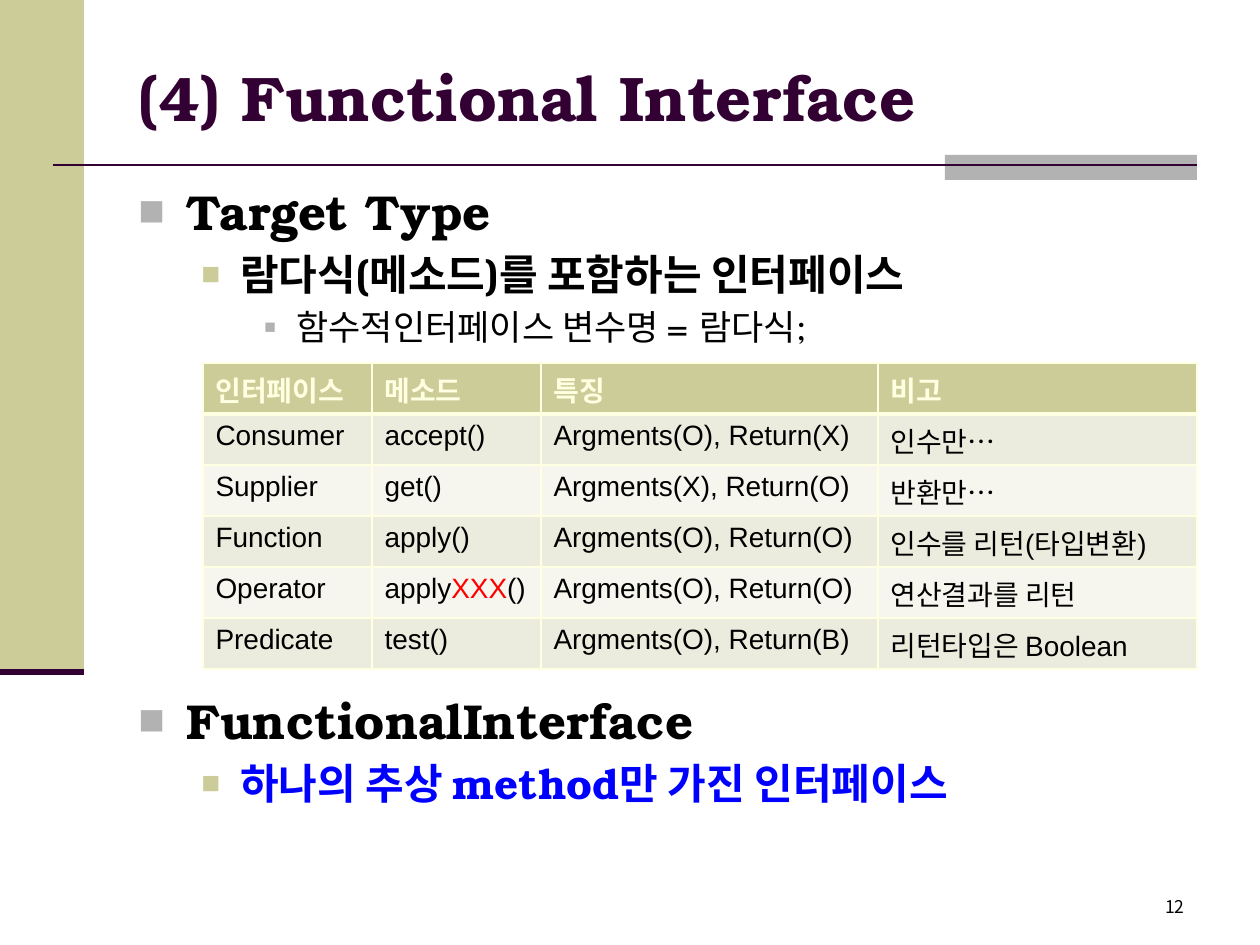
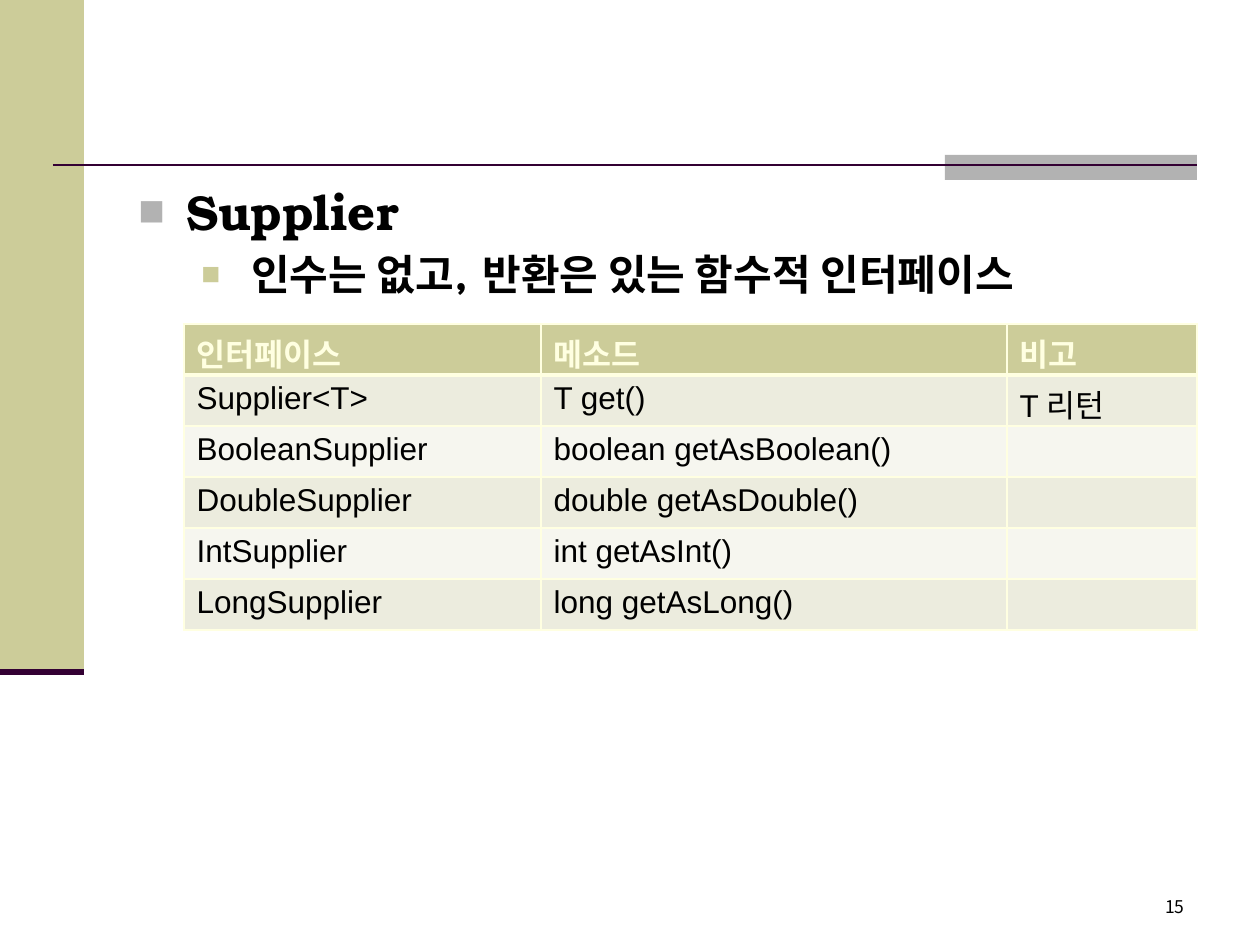
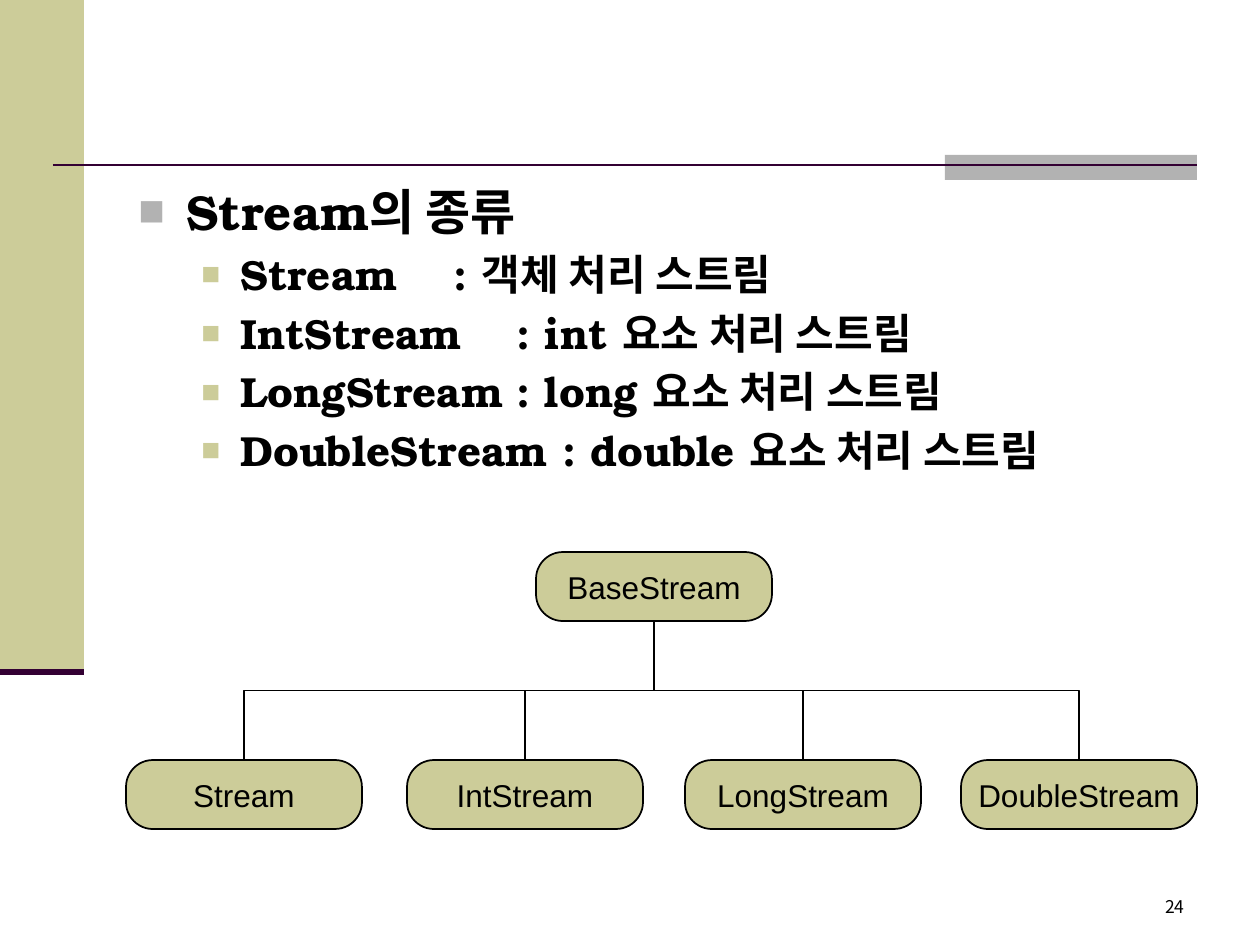
from lxml.etree import SubElement
from pptx import Presentation
from pptx.dml.color import RGBColor
from pptx.enum.shapes import MSO_CONNECTOR, MSO_SHAPE
from pptx.enum.text import MSO_ANCHOR, PP_ALIGN
from pptx.oxml.ns import qn
from pptx.util import Emu, Pt

PX = 914400 / 126

KHAKI = RGBColor(0xCC, 0xCC, 0x99)
GRAY = RGBColor(0xB2, 0xB2, 0xB2)
PLUM = RGBColor(0x33, 0x00, 0x33)
CREAM = RGBColor(0xFF, 0xFF, 0xE1)
BAND_DARK = RGBColor(0xEC, 0xEC, 0xDE)
BAND_LIGHT = RGBColor(0xF6, 0xF6, 0xEF)
BLACK = RGBColor(0, 0, 0)
BLUE = RGBColor(0, 0, 0xFF)
RED = RGBColor(0xFF, 0, 0)

SERIF, SANS, KOREAN = "TeX Gyre Bonum", "Arial", "Noto Sans CJK KR"

# Outline levels: text left, hanging indent, bullet colour, bullet %, size, bold
LEVELS = [
    (48, 48, GRAY, 90, 28, True),
    (102, 39, KHAKI, 75, 24, True),
    (158, 32, GRAY, 55, 20, False),
]
LEFT, RIGHT, BODY_TOP = 126, 1197, 175

# Content: outlines hold (level, text, colour, extra gap after the bullet)
SLIDES = [
    {
        "number": 12,
        "title": "(4) Functional Interface",
        "outlines": [
            (BODY_TOP, [
                (0, "Target Type", BLACK, 0),
                (1, "람다식(메소드)를 포함하는 인터페이스", BLACK, 0),
                (2, "함수적인터페이스 변수명 = 람다식;", BLACK, 0),
            ]),
            (684, [
                (0, "FunctionalInterface", BLACK, 0),
                (1, "하나의 추상 method만 가진 인터페이스", BLUE, 0),
            ]),
        ],
        "table": {
            "top": 363, "size": 16, "columns": [169, 169, 337, 319],
            "rows": [
                ["인터페이스", "메소드", "특징", "비고"],
                ["Consumer", "accept()", "Argments(O), Return(X)", "인수만…"],
                ["Supplier", "get()", "Argments(X), Return(O)", "반환만…"],
                ["Function", "apply()", "Argments(O), Return(O)", "인수를 리턴(타입변환)"],
                ["Operator", "applyXXX()", "Argments(O), Return(O)", "연산결과를 리턴"],
                ["Predicate", "test()", "Argments(O), Return(B)", "리턴타입은 Boolean"],
            ],
        },
    },
    {
        "number": 15,
        "outlines": [
            (BODY_TOP, [
                (0, "Supplier", BLACK, 0),
                (1, "인수는 없고, 반환은 있는 함수적 인터페이스", BLACK, 11),
            ]),
        ],
        "table": {
            "top": 324, "size": 18, "columns": [357, 466, 190],
            "rows": [
                ["인터페이스", "메소드", "비고"],
                ["Supplier<T>", "T get()", "T 리턴"],
                ["BooleanSupplier", "boolean getAsBoolean()", ""],
                ["DoubleSupplier", "double getAsDouble()", ""],
                ["IntSupplier", "int getAsInt()", ""],
                ["LongSupplier", "long getAsLong()", ""],
            ],
        },
    },
    {
        "number": 24,
        "outlines": [
            (BODY_TOP, [
                (0, "Stream의 종류", BLACK, 0),
                (1, "Stream\t: 객체 처리 스트림", BLACK, 0),
                (1, "IntStream\t: int 요소 처리 스트림", BLACK, 0),
                (1, "LongStream\t: long 요소 처리 스트림", BLACK, 0),
                (1, "DoubleStream : double 요소 처리 스트림", BLACK, 0),
            ]),
        ],
        "tree": {
            "root": ("BaseStream", 536),
            "children": [("Stream", 126), ("IntStream", 407),
                         ("LongStream", 685), ("DoubleStream", 961)],
        },
    },
]
HIGHLIGHT = "XXX"
ROW_HEIGHT = 51
NODE_W, NODE_H, ROOT_TOP, CHILD_TOP = 236, 69, 552, 760


def px(*values):
    return [Emu(round(v * PX)) for v in values]


def style_run(r, size, color, font, bold=False):
    r.font.size, r.font.bold, r.font.name = Pt(size), bold, font
    r.font.color.rgb = color
    SubElement(r._r.get_or_add_rPr(), qn("a:ea"), typeface=KOREAN)


def add_text(s, x, y, w, h):
    tf = s.shapes.add_textbox(*px(x, y, w, h)).text_frame
    tf.word_wrap = True
    return tf


def add_box(s, kind, x, y, w, h, fill):
    sp = s.shapes.add_shape(kind, *px(x, y, w, h))
    sp.shadow.inherit = False
    sp.fill.solid()
    sp.fill.fore_color.rgb = fill
    sp.line.fill.background()
    return sp


def add_line(s, kind, x1, y1, x2, y2, color, width):
    line = s.shapes.add_connector(kind, *px(x1, y1, x2, y2))
    line.line.color.rgb, line.line.width = color, Pt(width)
    SubElement(line._element.spPr, qn("a:effectLst"))
    return line


def add_frame(s, number):
    """Side band, header rule and page number shared by all slides."""
    add_box(s, MSO_SHAPE.RECTANGLE, 0, 0, 84, 672, KHAKI)
    add_box(s, MSO_SHAPE.RECTANGLE, 945, 155, RIGHT - 945, 25, GRAY)
    add_line(s, MSO_CONNECTOR.STRAIGHT, 53, 165, RIGHT, 165, PLUM, 1.5)
    add_line(s, MSO_CONNECTOR.STRAIGHT, 0, 672, 84, 672, PLUM, 3.5)
    p = add_text(s, 935, 890, RIGHT - 935, 35).paragraphs[0]
    p.text, p.alignment = str(number), PP_ALIGN.RIGHT
    style_run(p.runs[0], 10, BLACK, KOREAN)


def add_title(s, text):
    tf = add_text(s, LEFT, 38, RIGHT - LEFT, 117)
    tf.vertical_anchor = MSO_ANCHOR.MIDDLE
    tf.text = text
    style_run(tf.paragraphs[0].runs[0], 36, PLUM, SERIF, True)


def add_outline(s, top, items):
    tf = add_text(s, LEFT, top, RIGHT - LEFT, 880 - top)
    for i, (level, text, color, gap) in enumerate(items):
        left, hang, bullet_color, percent, size, bold = LEVELS[level]
        p = tf.add_paragraph() if i else tf.paragraphs[0]
        p.text, p.level = text, level
        pPr = p._p.get_or_add_pPr()
        margin, indent = px(left + gap, -hang - gap)
        pPr.set("marL", str(margin))
        pPr.set("indent", str(indent))
        if i:
            before = SubElement(pPr, qn("a:spcBef"))
            SubElement(before, qn("a:spcPct"), val="20000")
        SubElement(SubElement(pPr, qn("a:buClr")), qn("a:srgbClr"), val=str(bullet_color))
        SubElement(pPr, qn("a:buSzPct"), val=str(percent * 1000))
        SubElement(pPr, qn("a:buFont"), typeface=SANS)
        SubElement(pPr, qn("a:buChar"), char="■")
        style_run(p.runs[0], size, color, SERIF, bold)


def set_borders(cell, top, bottom):
    tcPr = cell._tc.get_or_add_tcPr()
    for i, (side, width) in enumerate((("L", 1), ("R", 1), ("T", top), ("B", bottom))):
        ln = SubElement(tcPr, qn(f"a:ln{side}"), w=str(Pt(width)))
        SubElement(SubElement(ln, qn("a:solidFill")), qn("a:srgbClr"), val=str(CREAM))
        tcPr.insert(i, ln)


def fill_cell(cell, text, size, row):
    header = row == 0
    cell.fill.solid()
    cell.fill.fore_color.rgb = KHAKI if header else BAND_DARK if row % 2 else BAND_LIGHT
    set_borders(cell, 3 if row == 1 else 1, 3 if header else 1)
    before, mark, after = text.partition(HIGHLIGHT)
    p = cell.text_frame.paragraphs[0]
    for part in filter(None, (before, mark, after)):
        r = p.add_run()
        r.text = part
        color = CREAM if header else RED if part == HIGHLIGHT else BLACK
        style_run(r, size, color, SANS, header)


def add_grid(s, top, size, columns, rows):
    width, height = sum(columns), ROW_HEIGHT * len(rows)
    table = s.shapes.add_table(len(rows), len(columns),
                               *px(RIGHT - width, top, width, height)).table
    for column, w in zip(table.columns, px(*columns)):
        column.width = w
    for i, row in enumerate(rows):
        for j, text in enumerate(row):
            fill_cell(table.cell(i, j), text, size, i)


def add_node(s, text, x, y):
    sp = add_box(s, MSO_SHAPE.ROUNDED_RECTANGLE, x, y, NODE_W, NODE_H, KHAKI)
    sp.adjustments[0] = 0.39
    sp.line.color.rgb, sp.line.width = BLACK, Pt(1)
    tf = sp.text_frame
    tf.word_wrap, tf.vertical_anchor = False, MSO_ANCHOR.MIDDLE
    tf.text = text
    p = tf.paragraphs[0]
    p.alignment = PP_ALIGN.CENTER
    style_run(p.runs[0], 18, BLACK, SANS)


def add_branch(s, x1, y1, x2, y2):
    """Elbow that leaves downwards: a sideways elbow turned about its centre."""
    cx, cy = (x1 + x2) / 2, (y1 + y2) / 2
    dx, dy = abs(x2 - x1) / 2, (y2 - y1) / 2
    start, end, angle = (cx + dy, cx - dy, 270) if x2 > x1 else (cx - dy, cx + dy, 90)
    line = add_line(s, MSO_CONNECTOR.ELBOW, start, cy - dx, end, cy + dx, BLACK, 1)
    line.rotation = angle


def add_tree(s, root, children):
    name, root_x = root
    add_node(s, name, root_x, ROOT_TOP)
    for child, x in children:
        add_node(s, child, x, CHILD_TOP)
        add_branch(s, root_x + NODE_W / 2, ROOT_TOP + NODE_H, x + NODE_W / 2, CHILD_TOP)


def main():
    prs = Presentation()
    prs.slide_width, prs.slide_height = px(1260, 945)
    for content in SLIDES:
        s = prs.slides.add_slide(prs.slide_layouts[6])
        add_frame(s, content["number"])
        if "title" in content:
            add_title(s, content["title"])
        for top, items in content["outlines"]:
            add_outline(s, top, items)
        if "table" in content:
            add_grid(s, **content["table"])
        if "tree" in content:
            add_tree(s, **content["tree"])
    prs.save("out.pptx")


if __name__ == "__main__":
    main()
